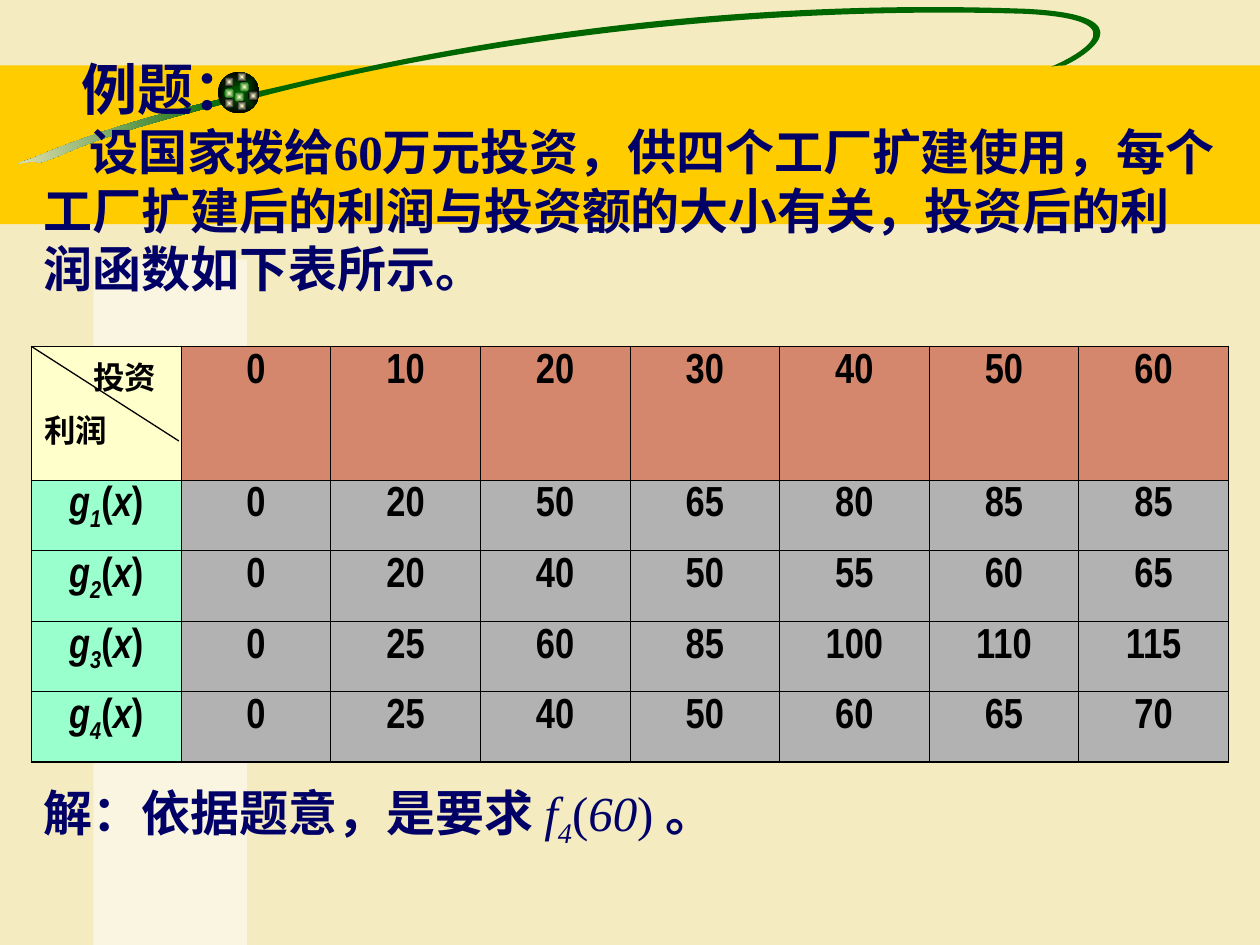
import math

import pptx
import pptx.dml.color
import pptx.enum.shapes
import pptx.enum.text
import pptx.oxml
import pptx.oxml.ns
import pptx.util

RGB = pptx.dml.color.RGBColor
CREAM = RGB(0xF5, 0xEB, 0xC1)
GOLD = RGB(0xFF, 0xCC, 0x00)
GREEN = RGB(0x00, 0x66, 0x00)
BLACK = RGB(0x00, 0x00, 0x00)
WHITE = RGB(0xFF, 0xFF, 0xFF)
NAVY = RGB(0x00, 0x00, 0x66)
PALE_YELLOW = RGB(0xFF, 0xFF, 0xCC)
SALMON = RGB(0xD4, 0x87, 0x6C)
MINT = RGB(0x99, 0xFF, 0xCC)
GREY = RGB(0xB2, 0xB2, 0xB2)
SERIF, NARROW = "Times New Roman", "Arial Narrow"
RECT = pptx.enum.shapes.MSO_SHAPE.RECTANGLE
OVAL = pptx.enum.shapes.MSO_SHAPE.OVAL
NS = pptx.oxml.ns.nsdecls("a")
qn = pptx.oxml.ns.qn

presentation = pptx.Presentation()
presentation.slide_width = pptx.util.Inches(10)
presentation.slide_height = pptx.util.Inches(7.5)
UNIT = presentation.slide_width // 10  # grid of 10 columns by 7.5 rows
slide = presentation.slides.add_slide(presentation.slide_layouts[6])
slide.background.fill.solid()
slide.background.fill.fore_color.rgb = CREAM


def write(paragraph, text, size=24, font=NARROW, color=BLACK, bold=True,
          italic=False, subscript=False):
    run = paragraph.add_run()
    run.text = text
    run.font.size = pptx.util.Pt(size)
    run.font.name = font
    run.font.color.rgb = color
    run.font.bold = bold
    run.font.italic = italic
    if subscript:
        run._r.get_or_add_rPr().set("baseline", "-25000")


def paint(shape, start, end=None, radial=False):
    shape.shadow.inherit = False
    shape.line.fill.background()
    if end is None:
        shape.fill.solid()
        shape.fill.fore_color.rgb = start
        return
    shape.fill.gradient()
    shape.fill.gradient_angle = 180
    for stop, color in zip(shape.fill.gradient_stops, (start, end)):
        stop.color.rgb = color
    if radial:
        linear = shape._element.spPr.find(".//" + qn("a:lin"))
        linear.getparent().replace(linear, pptx.oxml.parse_xml(
            f'<a:path {NS} path="rect"><a:fillToRect l="50000" t="50000" '
            'r="50000" b="50000"/></a:path>'))


# Gold band
band = slide.shapes.add_shape(RECT, 0, int(0.52 * UNIT), 10 * UNIT, int(1.26 * UNIT))
paint(band, GOLD)

# Comet tail and loop: a start point, then three points per Bezier curve
tail = [(1.78, 0.78),
        (0.91, 0.98), (0.49, 1.16), (0.25, 1.26),
        (0.01, 1.34), (0.26, 1.26), (0.31, 1.29),
        (0.57, 1.22), (0.57, 1.13), (1.79, 0.82),
        (1.79, 0.82), (1.78, 0.78), (1.78, 0.78)]
loop = [(2.02, 0.73),
        (2.46, 0.65), (4.86, -0.05), (8.14, 0.07),
        (9.17, 0.12), (8.57, 0.47), (8.45, 0.52),
        (8.45, 0.52), (8.38, 0.52), (8.34, 0.53),
        (8.44, 0.49), (9.16, 0.16), (8.13, 0.11),
        (5.48, 0.03), (3.2, 0.47), (2.06, 0.77),
        (2.06, 0.77), (2.02, 0.73), (2.02, 0.73)]
TILT = 8.5
cos, sin = math.cos(math.radians(TILT)), math.sin(math.radians(TILT))
for points, (pivot_x, pivot_y), end_color in ((tail, (0.89, 1.06), CREAM),
                                              (loop, (5.59, 0.4), None)):
    level = []
    for x, y in points:
        dx, dy = x - pivot_x, y - pivot_y
        level.append((int((pivot_x + dx * cos - dy * sin) * UNIT),
                      int((pivot_y + dx * sin + dy * cos) * UNIT)))
    outline = slide.shapes.build_freeform(*level[0], scale=1)
    outline.add_line_segments(level[1:], close=True)
    stroke = outline.convert_to_shape()
    # Each run of three line segments becomes one curve
    segments = stroke._element.spPr.findall(".//" + qn("a:lnTo"))
    for first in range(0, len(points) - 1, 3):
        curve = pptx.oxml.parse_xml(f"<a:cubicBezTo {NS}/>")
        segments[first].addprevious(curve)
        for segment in segments[first:first + 3]:
            curve.append(segment[0])
            segment.getparent().remove(segment)
    stroke.rotation = 360 - TILT
    paint(stroke, GREEN, end_color)

# Ball with its light spots
for x, y, diameter, center, rim in (
        (1.73, 0.57, 0.33, GREEN, BLACK),
        (1.9, 0.65, 0.08, PALE_YELLOW, GREEN),
        (1.78, 0.61, 0.08, PALE_YELLOW, BLACK),
        (1.78, 0.7, 0.08, PALE_YELLOW, GREEN),
        (1.86, 0.73, 0.08, PALE_YELLOW, GREEN),
        (1.97, 0.72, 0.08, PALE_YELLOW, BLACK),
        (1.88, 0.8, 0.08, PALE_YELLOW, BLACK),
        (1.78, 0.78, 0.08, PALE_YELLOW, BLACK),
        (1.88, 0.57, 0.08, PALE_YELLOW, BLACK)):
    ball = slide.shapes.add_shape(
        OVAL, *(int(length * UNIT) for length in (x, y, diameter, diameter)))
    paint(ball, center, rim, radial=True)

# Translucent column
column = slide.shapes.add_shape(
    RECT, *(int(length * UNIT) for length in (0.74, 2.06, 1.22, 5.44)))
paint(column, WHITE)
column._element.spPr.find(".//" + qn("a:srgbClr")).append(
    pptx.oxml.parse_xml(f'<a:alpha {NS} val="50000"/>'))

# Problem statement
LEFT, WIDTH = UNIT // 4, int(9.5 * UNIT)
problem = slide.shapes.add_textbox(LEFT, int(0.38 * UNIT), WIDTH, int(2.04 * UNIT)).text_frame
problem.word_wrap = True
heading, question = problem.paragraphs[0], problem.add_paragraph()
for paragraph, text, size, indent in (
        (heading, "例题：", 32, 0.3),
        (question, "设国家拨给60万元投资，供四个工厂扩建使用，每个工厂扩建后的"
                   "利润与投资额的大小有关，投资后的利润函数如下表所示。", 28, 0.36)):
    write(paragraph, text, size=size, font=SERIF, color=NAVY)
    paragraph._p.get_or_add_pPr().set("indent", str(int(indent * UNIT)))

# Profit table
investments = [0, 10, 20, 30, 40, 50, 60]
profits = [[0, 20, 50, 65, 80, 85, 85],
           [0, 20, 40, 50, 55, 60, 65],
           [0, 25, 60, 85, 100, 110, 115],
           [0, 25, 40, 50, 60, 65, 70]]
last_row, last_column = len(profits), len(investments)
table = slide.shapes.add_table(last_row + 1, last_column + 1, LEFT, int(2.75 * UNIT),
                               WIDTH, int(3.3 * UNIT)).table
table.first_row = table.horz_banding = False
for r, values in enumerate([investments] + profits):
    table.rows[r].height = int((0.56 if r else 1.06) * UNIT)
    for c, value in enumerate([None] + values):
        cell = table.cell(r, c)
        cell.fill.solid()
        label_fill, value_fill = (MINT, GREY) if r else (PALE_YELLOW, SALMON)
        cell.fill.fore_color.rgb = value_fill if c else label_fill
        paragraph = cell.text_frame.paragraphs[0]
        paragraph.space_before = pptx.util.Pt(6)
        paragraph.alignment = pptx.enum.text.PP_ALIGN.CENTER
        if c:
            write(paragraph, str(value))
        elif r:
            write(paragraph, "g", italic=True)
            write(paragraph, str(r), italic=True, subscript=True)
            write(paragraph, "(")
            write(paragraph, "x", italic=True)
            write(paragraph, ")")
        else:
            for axis, line, indent in (("投资", paragraph, 0.39),
                                       ("利润", cell.text_frame.add_paragraph(), 0)):
                line.alignment = pptx.enum.text.PP_ALIGN.LEFT
                line.space_before = pptx.util.Pt(4.5)
                line._p.get_or_add_pPr().set("indent", str(int(indent * UNIT)))
                write(line, axis, size=18)
        outer_edges = (("L", c == 0), ("R", c == last_column),
                       ("T", r == 0), ("B", r == last_row))
        for position, (side, outer) in enumerate(outer_edges):
            width = pptx.util.Pt(1.08 if outer else 0.45)
            cell._tc.get_or_add_tcPr().insert(position, pptx.oxml.parse_xml(
                f'<a:ln{side} {NS} w="{width}"><a:solidFill><a:srgbClr val="{BLACK}"/>'
                f'</a:solidFill></a:ln{side}>'))

# Diagonal of the corner cell
diagonal = slide.shapes.add_connector(
    pptx.enum.shapes.MSO_CONNECTOR.STRAIGHT,
    int(1.42 * UNIT), int(3.5 * UNIT), LEFT, int(2.75 * UNIT))
diagonal.line.color.rgb = BLACK
diagonal.line.width = pptx.util.Pt(0.75)
diagonal._element.spPr.append(pptx.oxml.parse_xml(f"<a:effectLst {NS}/>"))

# Solution
solution = slide.shapes.add_textbox(LEFT, int(6.16 * UNIT), WIDTH, int(0.63 * UNIT)).text_frame
solution.word_wrap = True
answer = solution.paragraphs[0]
answer.space_before = pptx.util.Pt(17.5)
for text, bold, italic, subscript in (
        ("解：依据题意，是要求 ", True, False, False), ("f", False, True, False),
        ("4", False, True, True), ("(", False, False, False),
        ("60", False, True, False), (") ", False, False, False),
        ("。", True, False, False)):
    write(answer, text, size=28, font=SERIF, color=NAVY, bold=bold,
          italic=italic, subscript=subscript)

presentation.save("out.pptx")
